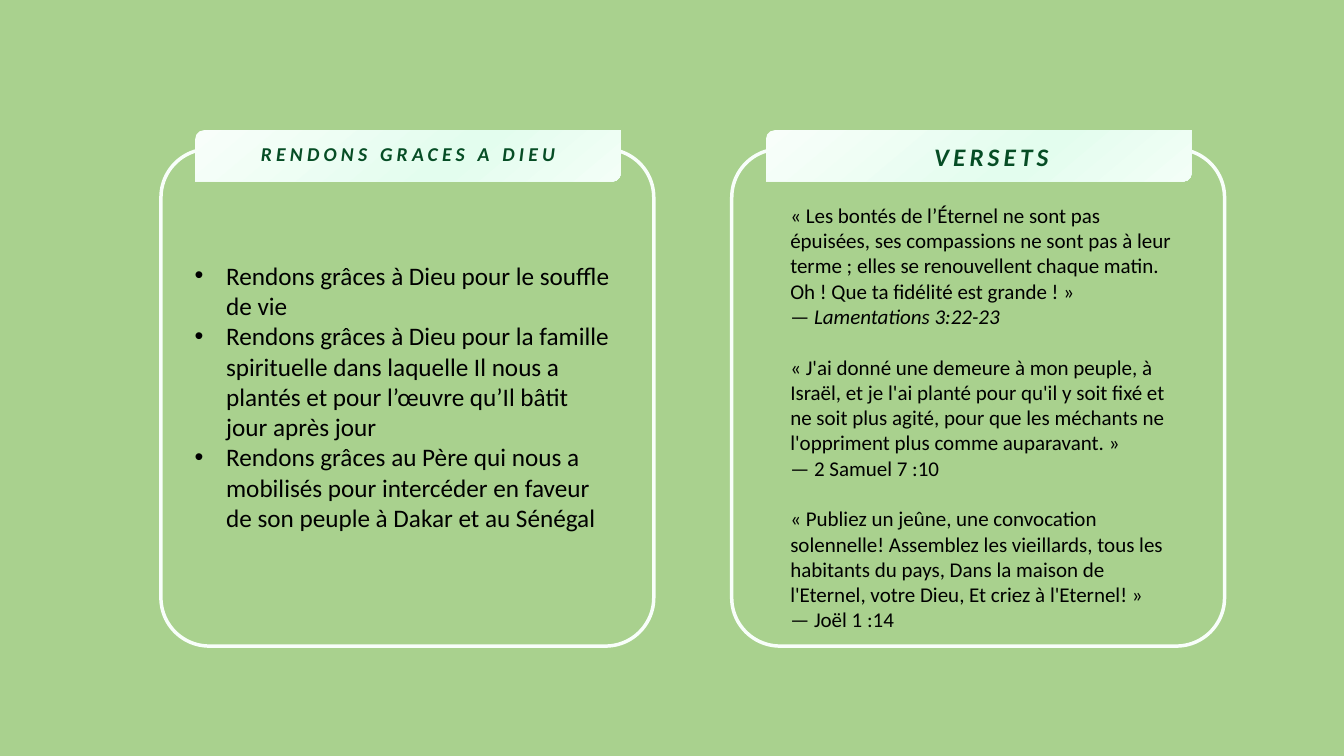
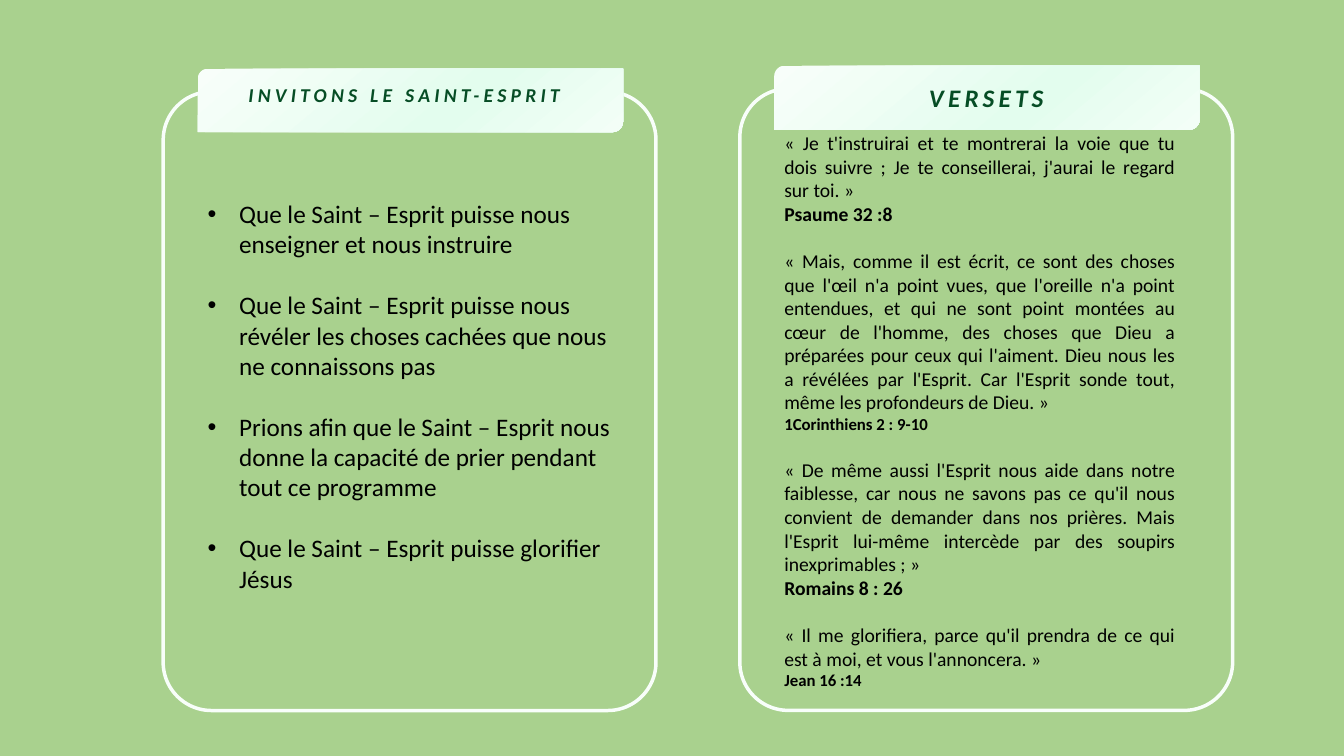
from copy import deepcopy
from dataclasses import dataclass

from pptx import Presentation
from pptx.dml.color import RGBColor
from pptx.enum.shapes import MSO_SHAPE
from pptx.enum.text import MSO_ANCHOR, MSO_AUTO_SIZE, PP_ALIGN
from pptx.oxml.ns import qn
from pptx.util import Pt


@dataclass(frozen=True)
class Theme:
    background: str = "A9D18E"
    outline: str = "F8FEFA"
    tab_stops: tuple = ((0, "F8FEFA"), (0.61, "E3FDEE"), (1, "F3FEF7"))
    heading: str = "064D25"
    text: str = "000000"
    font: str = "Calibri"
    topic_size: int = 14
    verses_size: int = 18
    bullet_size: int = 18
    line_height: float = 1.22
    indent: float = 22.5


@dataclass(frozen=True)
class Verse:
    quote: str
    source: str
    source_size: int
    dash: str = ""
    bold: bool = False
    italic: bool = False


TITLE, LEFT_HEAD, LEFT_BODY, RIGHT_HEAD, RIGHT_BODY = range(5)
COMPARISON_LAYOUT = 4


class Deck:
    def __init__(self, theme):
        self.theme = theme
        self.prs = Presentation()
        self.prs.slide_width, self.prs.slide_height = Pt(960), Pt(540)
        fill = self.prs.slide_master.background.fill
        fill.solid()
        fill.fore_color.rgb = RGBColor.from_string(theme.background)
        self.slide = None

    def new_slide(self):
        layout = self.prs.slide_layouts[COMPARISON_LAYOUT]
        self.slide = self.prs.slides.add_slide(layout)
        unused = self.slide.placeholders[LEFT_HEAD].element
        unused.getparent().remove(unused)

    def shape(self, kind, box, adjustments):
        sp = self.slide.shapes.add_shape(kind, *map(Pt, box))
        sp.shadow.inherit = False
        for i, value in enumerate(adjustments):
            sp.adjustments[i] = value
        return sp

    def panel(self, left, top, height, tab_top, tab_height):
        """Draw a rounded outline with a gradient tab over its top edge."""
        frame = self.shape(MSO_SHAPE.ROUNDED_RECTANGLE,
                           (left, top, 352, height), [0.098])
        frame.fill.background()
        frame.line.color.rgb = RGBColor.from_string(self.theme.outline)
        frame.line.width = Pt(2.5)

        tab = self.shape(MSO_SHAPE.ROUND_2_DIAG_RECTANGLE,
                         (left + 24.5, tab_top, 304, tab_height), [0.167, 0])
        tab.line.fill.background()
        tab.fill.gradient()
        tab.fill.gradient_angle = 310
        stops = tab.element.find(".//" + qn("a:gsLst"))
        stops.append(deepcopy(stops[0]))
        for stop, (position, color) in zip(tab.fill.gradient_stops,
                                           self.theme.tab_stops):
            stop.position = position
            stop.color.rgb = RGBColor.from_string(color)

    def place(self, idx, box):
        """Move a placeholder to box, in front of the panels."""
        sp = self.slide.placeholders[idx]
        sp.left, sp.top, sp.width, sp.height = map(Pt, box)
        sp.element.getparent().append(sp.element)
        tf = sp.text_frame
        tf.word_wrap = True
        tf.auto_size = MSO_AUTO_SIZE.NONE
        tf.vertical_anchor = MSO_ANCHOR.TOP
        return tf

    def style_run(self, r, size, color, bold=False, italic=False):
        r.font.name = self.theme.font
        r.font.size = Pt(size)
        r.font.bold, r.font.italic = bold, italic
        r.font.color.rgb = RGBColor.from_string(color)

    def paragraph(self, tf, text, size, gap=0, bullet=False):
        """Fill the first paragraph, or add one, in body style."""
        p = tf.add_paragraph() if tf.text else tf.paragraphs[0]
        p.text = text
        p.space_before, p.space_after = Pt(gap), Pt(0)
        p.line_spacing = 1.0
        indent = Pt(self.theme.indent) if bullet else 0
        pPr = p._p.get_or_add_pPr()
        pPr.set("marL", str(indent))
        pPr.set("indent", str(-indent))
        if bullet:
            font = pPr.makeelement(qn("a:buFont"), {"typeface": "Arial"})
            pPr.append(font)
            pPr.append(pPr.makeelement(qn("a:buChar"), {"char": "•"}))
        else:
            pPr.append(pPr.makeelement(qn("a:buNone"), {}))
        for r in p.runs:
            self.style_run(r, size, self.theme.text)
        return p

    def heading(self, idx, text, size, box):
        p = self.paragraph(self.place(idx, box), text, size)
        p.alignment = PP_ALIGN.CENTER
        for r in p.runs:
            self.style_run(r, size, self.theme.heading, True, True)
            r.font._element.set("spc", "300")

    def bullets(self, items, box, spaced=False):
        size = self.theme.bullet_size
        tf = self.place(LEFT_BODY, box)
        for i, item in enumerate(items):
            gap = size * self.theme.line_height if spaced and i else 0
            self.paragraph(tf, item, size, gap, bullet=True)

    def verses(self, verses, size, box, align=PP_ALIGN.LEFT):
        tf = self.place(RIGHT_BODY, box)
        for i, verse in enumerate(verses):
            gap = size * self.theme.line_height if i else 0
            quote = self.paragraph(tf, verse.quote, size, gap)
            source = self.paragraph(tf, verse.dash, verse.source_size)
            r = source.add_run()
            r.text = verse.source
            self.style_run(r, verse.source_size, self.theme.text,
                           verse.bold, verse.italic)
            quote.alignment = source.alignment = align


def thanksgiving_slide(deck):
    deck.new_slide()
    for left in (115, 522.7):
        deck.panel(left, 106.5, 355, 93, 36.7)
    deck.heading(TITLE, "RENDONS GRACES A DIEU", deck.theme.topic_size,
                 (156.2, 97.9, 270.7, 24.5))
    deck.heading(RIGHT_HEAD, "VERSETS", deck.theme.verses_size,
                 (615.6, 97.2, 185, 29))
    deck.bullets([
        "Rendons grâces à Dieu pour le souffle de vie",
        "Rendons grâces à Dieu pour la famille spirituelle dans laquelle "
        "Il nous a plantés et pour l’œuvre qu’Il bâtit jour après jour",
        "Rendons grâces au Père qui nous a mobilisés pour intercéder en "
        "faveur de son peuple à Dakar et au Sénégal",
    ], (131.8, 182.2, 313.2, 203.8))
    deck.verses([
        Verse("« Les bontés de l’Éternel ne sont pas épuisées, ses "
              "compassions ne sont pas à leur terme ; elles se renouvellent "
              "chaque matin. Oh ! Que ta fidélité est grande ! »",
              "Lamentations 3:22-23", 15, dash="— ", italic=True),
        Verse("« J'ai donné une demeure à mon peuple, à Israël, et je l'ai "
              "planté pour qu'il y soit fixé et ne soit plus agité, pour que "
              "les méchants ne l'oppriment plus comme auparavant. »",
              "2 Samuel 7 :10", 15, dash="— "),
        Verse("« Publiez un jeûne, une convocation solennelle! Assemblez les "
              "vieillards, tous les habitants du pays, Dans la maison de "
              "l'Eternel, votre Dieu, Et criez à l'Eternel! »",
              "Joël 1 :14", 15, dash="— "),
    ], 15, (557.3, 141.1, 293.8, 333.4))


def holy_spirit_slide(deck):
    deck.new_slide()
    deck.panel(116.6, 65.5, 442, 49, 45.4)
    deck.panel(528.5, 63.4, 444, 46.8, 46)
    deck.heading(TITLE, "INVITONS LE SAINT-ESPRIT", deck.theme.topic_size,
                 (153.4, 55.4, 270.7, 24.5))
    deck.heading(RIGHT_HEAD, "VERSETS", deck.theme.verses_size,
                 (612, 55.4, 185, 29))
    deck.bullets([
        "Que le Saint – Esprit puisse nous enseigner et nous instruire",
        "Que le Saint – Esprit puisse nous révéler les choses cachées que "
        "nous ne connaissons pas",
        "Prions afin que le Saint – Esprit nous donne la capacité de prier "
        "pendant tout ce programme",
        "Que le Saint – Esprit puisse glorifier Jésus",
    ], (141.1, 138.2, 313.2, 312.5), spaced=True)
    deck.verses([
        Verse("« Je t'instruirai et te montrerai la voie que tu dois suivre ; "
              "Je te conseillerai, j'aurai le regard sur toi. »",
              "Psaume 32 :8", 14, bold=True),
        Verse("« Mais, comme il est écrit, ce sont des choses que l'œil n'a "
              "point vues, que l'oreille n'a point entendues, et qui ne sont "
              "point montées au cœur de l'homme, des choses que Dieu a "
              "préparées pour ceux qui l'aiment. Dieu nous les a révélées par "
              "l'Esprit. Car l'Esprit sonde tout, même les profondeurs de "
              "Dieu. »",
              "1Corinthiens 2 : 9-10", 12, bold=True),
        Verse("« De même aussi l'Esprit nous aide dans notre faiblesse, car "
              "nous ne savons pas ce qu'il nous convient de demander dans nos "
              "prières. Mais l'Esprit lui-même intercède par des soupirs "
              "inexprimables ; »",
              "Romains 8 : 26", 14, bold=True),
        Verse("« Il me glorifiera, parce qu'il prendra de ce qui est à moi, "
              "et vous l'annoncera. »",
              "Jean 16 :14", 12, bold=True),
    ], 14, (553, 90, 293.8, 409.7), PP_ALIGN.JUSTIFY)


def main():
    deck = Deck(Theme())
    thanksgiving_slide(deck)
    holy_spirit_slide(deck)
    deck.prs.save("out.pptx")


if __name__ == "__main__":
    main()
